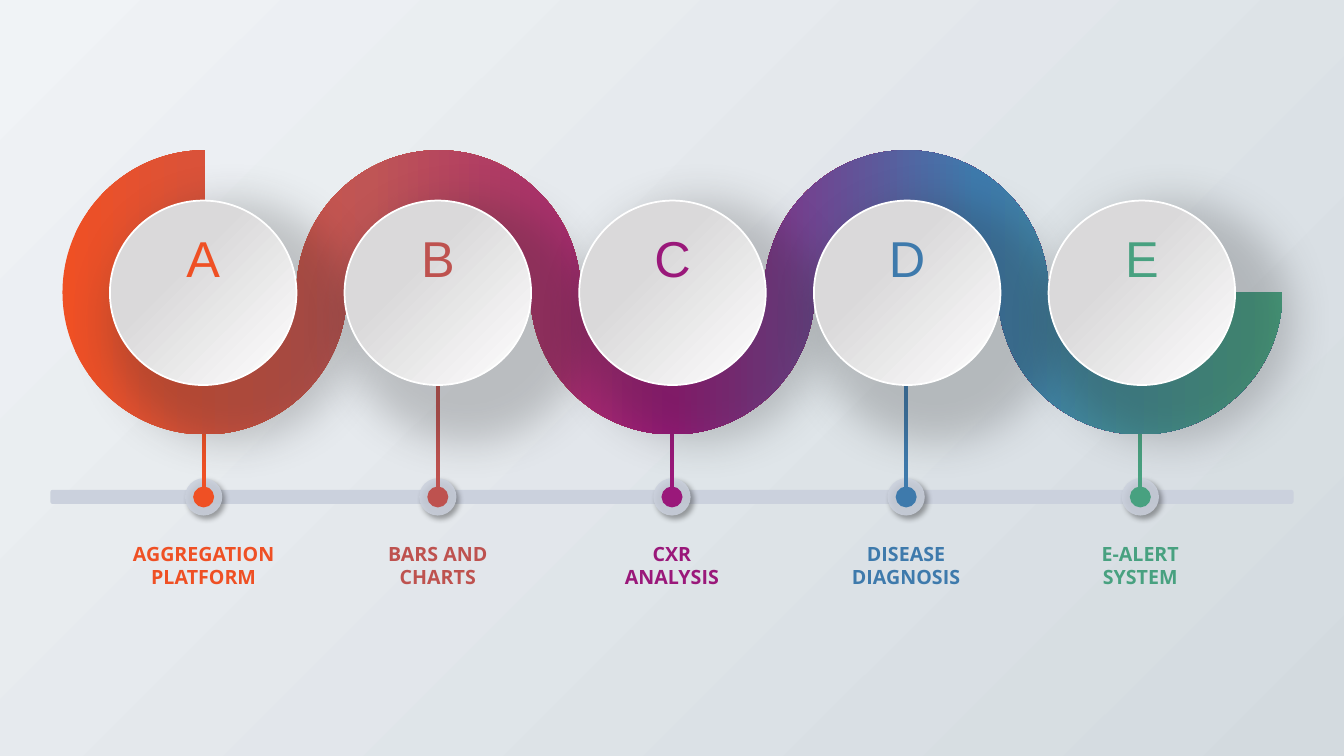
from dataclasses import dataclass
from itertools import groupby
from math import cos, radians, sin

from lxml.etree import SubElement
from pptx import Presentation
from pptx.dml.color import RGBColor as Rgb
from pptx.enum.shapes import MSO_CONNECTOR as Connector, MSO_SHAPE as Preset
from pptx.enum.text import MSO_AUTO_SIZE as AutoSize, PP_ALIGN as Align
from pptx.oxml.ns import qn
from pptx.util import Inches, Pt


@dataclass(frozen=True)
class Theme:
    letter_font: str = "Arial"
    label_font: str = "Open Sans"
    letter_size: int = 36
    label_size: int = 14
    stem_width: int = 3
    rim_width: float = 1.25
    rim: str = "FFFFFF"
    track: str = "CBD1DD"
    backdrop: tuple = ((0, "F0F3F6"), (100, "D3DADF"))
    disc: tuple = ((36, "DAD9DA"), (100, "FFFFFF"))
    ribbon: tuple = ((0, "EF5024"), (25, "BF5555"), (50, "9A187A"),
                     (75, "3E7AAC"), (100, "48A180"))


@dataclass(frozen=True)
class Box:
    left: float
    top: float
    width: float
    height: float

    @property
    def middle(self):
        return self.top + self.height / 2

    @property
    def bottom(self):
        return self.top + self.height

    def emu(self):
        return [grid(side) for side in (self.left, self.top, self.width, self.height)]


THEME = Theme()
CELLS_PER_INCH = 10
QUARTER_CURVE = 0.55
STEPS = [
    ("A", "AGGREGATION\vPLATFORM", "EF5024"),
    ("B", "BARS AND\nCHARTS", "BE524F"),
    ("C", "CXR\nANALYSIS", "9A187A"),
    ("D", "DISEASE\nDIAGNOSIS", "3E7AAC"),
    ("E", "E-ALERT\nSYSTEM", "48A180"),
]


def grid(cells):
    return Inches(round(cells / CELLS_PER_INCH, 4))


def centred(x, y, width, height):
    return Box(x - width / 2, y - height / 2, width, height)


def step_width(box):
    return (box.width - box.height) / (len(STEPS) - 1)


def step_centres(box):
    return [box.left + box.height / 2 + index * step_width(box)
            for index in range(len(STEPS))]


def paint_gradient(fill, element, stops, angle):
    fill.gradient()
    fill.gradient_angle = (360 - angle) % 360
    stop_list = element.find(f".//{qn('a:gsLst')}")
    for old_stop in list(stop_list):
        stop_list.remove(old_stop)
    for position, colour in stops:
        stop = SubElement(stop_list, qn("a:gs"), pos=str(position * 1000))
        SubElement(stop, qn("a:srgbClr"), val=colour)


def cast_shadow(shape, colour, alpha, blur, distance, scale=100):
    effects = shape.element.spPr.find(qn("a:effectLst"))
    size = str(scale * 1000)
    shadow = SubElement(effects, qn("a:outerShdw"), blurRad=str(Pt(blur)),
                        dist=str(Pt(distance)), dir="2700000", sx=size, sy=size,
                        algn="tl", rotWithShape="0")
    tone = SubElement(shadow, qn("a:srgbClr"), val=colour)
    SubElement(tone, qn("a:alpha"), val=str(alpha * 1000))


def add_plain(page, preset, box, colour=None):
    shape = page.shapes.add_shape(preset, *box.emu())
    shape.shadow.inherit = False
    shape.line.fill.background()
    if colour:
        shape.fill.solid()
        shape.fill.fore_color.rgb = Rgb.from_string(colour)
    return shape


def add_text(page, box, text, font, size, colour, bold=False):
    frame = page.shapes.add_textbox(*box.emu()).text_frame
    frame.word_wrap = True
    frame.auto_size = AutoSize.SHAPE_TO_FIT_TEXT
    frame.text = text
    for para in frame.paragraphs:
        para.alignment = Align.CENTER
        for span in para.runs:
            span.font.name = font
            span.font.size = Pt(size)
            span.font.bold = bold
            span.font.color.rgb = Rgb.from_string(colour)


def quarter_points(x, y, radius, start, end):
    turn = 90 if end > start else -90
    return [(grid(x + radius * cos(radians(angle))), grid(y + radius * sin(radians(angle))))
            for angle in range(start, end + turn, turn)]


def round_quarters(shape):
    outline = shape.element.find(f".//{qn('a:pathLst')}")[0]
    centre_line = shape.height / 2
    x0 = y0 = None
    for segment in outline.findall("*"):
        point = segment.find(qn("a:pt"))
        if point is None:
            continue
        x, y = int(point.get("x")), int(point.get("y"))
        if x0 is not None and x != x0 and y != y0:
            across, down = QUARTER_CURVE * (x - x0), QUARTER_CURVE * (y - y0)
            if abs(y0 - centre_line) < abs(y - centre_line):
                handles = [(x0, y0 + down), (x - across, y)]
            else:
                handles = [(x0 + across, y0), (x, y - down)]
            curve = SubElement(outline, qn("a:cubicBezTo"))
            for handle_x, handle_y in handles + [(x, y)]:
                SubElement(curve, qn("a:pt"), x=str(round(handle_x)), y=str(round(handle_y)))
            outline.replace(segment, curve)
        x0, y0 = x, y


def draw_ribbon(page, box):
    outer = box.height / 2
    inner = step_width(box) - outer
    there, back = [], []
    for index, x in enumerate(step_centres(box)):
        over = index % 2 == 1
        start = 270 if index == 0 else 180
        end = 360 if over else 0
        there += quarter_points(x, box.middle, outer if over else inner, start, end)
        back = quarter_points(x, box.middle, inner if over else outer, end, start) + back
    points = [point for point, _ in groupby(there + back)]
    builder = page.shapes.build_freeform(*points[0])
    builder.add_line_segments(points[1:], close=True)
    ribbon = builder.convert_to_shape()
    round_quarters(ribbon)
    ribbon.shadow.inherit = False
    ribbon.line.fill.background()
    paint_gradient(ribbon.fill, ribbon.element, THEME.ribbon, 0)


def draw_track(page, box, centres):
    add_plain(page, Preset.ROUNDED_RECTANGLE, box, THEME.track)
    for x in centres:
        ring = add_plain(page, Preset.OVAL, centred(x, box.middle, 3.7, 3.7), THEME.track)
        tone = ring.element.spPr.find(f"{qn('a:solidFill')}/{qn('a:srgbClr')}")
        SubElement(tone, qn("a:alpha"), val="85000")
        cast_shadow(ring, "000000", 40, 4, 3)


def draw_stems(page, ribbon, discs, track, centres):
    for index, (x, (_, _, colour)) in enumerate(zip(centres, STEPS)):
        start = discs.bottom if index % 2 else ribbon.bottom
        stem = page.shapes.add_connector(Connector.STRAIGHT, grid(x), grid(start),
                                         grid(x), grid(track.middle))
        stem.line.color.rgb = Rgb.from_string(colour)
        stem.line.width = Pt(THEME.stem_width)
        line = stem.element.spPr.find(qn("a:ln"))
        SubElement(line, qn("a:tailEnd"), type="oval", w="lg", len="lg")
        SubElement(stem.element.spPr, qn("a:effectLst"))


def draw_discs(page, box):
    for x in step_centres(box):
        disc = add_plain(page, Preset.OVAL, centred(x, box.middle, box.height + 0.2, box.height))
        paint_gradient(disc.fill, disc.element, THEME.disc, 45)
        disc.line.color.rgb = Rgb.from_string(THEME.rim)
        disc.line.width = Pt(THEME.rim_width)
        cast_shadow(disc, "262626", 21, 30, 0, 130)
    for x, (letter, _, colour) in zip(step_centres(box), STEPS):
        add_text(page, centred(x, box.middle - 3.5, 8.4, 7.1), letter,
                 THEME.letter_font, THEME.letter_size, colour)


def draw_labels(page, box, centres):
    for x, (_, label, colour) in zip(centres, STEPS):
        add_text(page, centred(x, box.middle, 21.6, box.height), label,
                 THEME.label_font, THEME.label_size, colour, True)


def draw_roadmap(page):
    ribbon = Box(6.2, 14.9, 121, 28.2)
    discs = Box(11, 19.9, 111.4, 18.3)
    track = Box(5, 48.6, 123.3, 1.4)
    labels = Box(5, 53.25, 123.3, 5.7)
    centres = step_centres(Box(6.1, 14.9, 121.1, 28.2))
    paint_gradient(page.background.fill, page.element, THEME.backdrop, 45)
    draw_ribbon(page, ribbon)
    draw_track(page, track, centres)
    draw_stems(page, ribbon, discs, track, centres)
    draw_discs(page, discs)
    draw_labels(page, labels, centres)


def main():
    deck = Presentation()
    deck.slide_width, deck.slide_height = Inches(13.33), Inches(7.5)
    draw_roadmap(deck.slides.add_slide(deck.slide_layouts[6]))
    deck.save("out.pptx")


if __name__ == "__main__":
    main()
